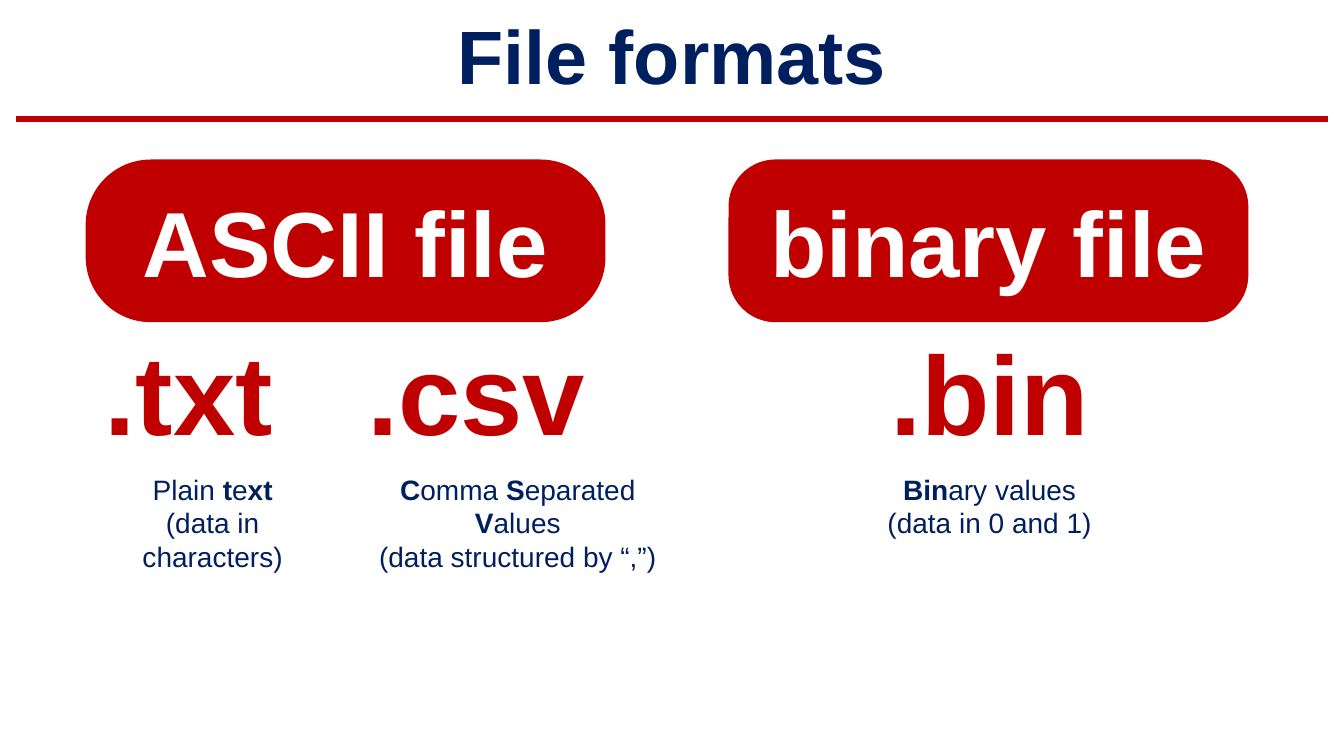
import pptx
import pptx.dml.color
import pptx.enum.shapes
import pptx.enum.text
import pptx.oxml
import pptx.util
from pptx.util import Cm

RED = "C00000"
NAVY = "001F5F"
WHITE = "FFFFFF"
CENTER = pptx.enum.text.PP_ALIGN.CENTER
LEFT = pptx.enum.text.PP_ALIGN.LEFT
TOP = pptx.enum.text.MSO_ANCHOR.TOP
MIDDLE = pptx.enum.text.MSO_ANCHOR.MIDDLE


def color(hex_value):
    return pptx.dml.color.RGBColor.from_string(hex_value)


def prepare_frame(frame, anchor):
    frame.word_wrap = True
    frame.auto_size = pptx.enum.text.MSO_AUTO_SIZE.NONE
    frame.vertical_anchor = anchor
    frame.margin_left = frame.margin_right = 0
    frame.margin_top = frame.margin_bottom = 0


def format_paragraph(paragraph, size, hex_value, bold, align=CENTER):
    paragraph.alignment = align
    paragraph.font.name = "Arial"
    paragraph.font.size = pptx.util.Pt(size)
    paragraph.font.color.rgb = color(hex_value)
    paragraph.font.bold = bold


def add_title(slide, text):
    title = slide.shapes.title
    title.left, title.top, title.width, title.height = Cm(11.5), Cm(0.23), Cm(10.87), Cm(2.36)
    prepare_frame(title.text_frame, TOP)
    title.text_frame.text = text
    format_paragraph(title.text_frame.paragraphs[0], 54, NAVY, True)


def add_rule(slide):
    rule = slide.shapes.add_connector(
        pptx.enum.shapes.MSO_CONNECTOR.STRAIGHT, Cm(0.4), Cm(3), Cm(33.48), Cm(3))
    rule.line.color.rgb = color(RED)
    rule.line.width = pptx.util.Pt(4.5)
    rule._element.spPr.append(pptx.oxml.parse_xml(
        '<a:effectLst xmlns:a="http://schemas.openxmlformats.org/drawingml/2006/main"/>'))


def add_category(slide, text, left, corner):
    category = slide.shapes.add_shape(
        pptx.enum.shapes.MSO_SHAPE.ROUNDED_RECTANGLE, left, Cm(4.02), Cm(13.1), Cm(4.1))
    category.adjustments[0] = corner
    category.shadow.inherit = False
    category.fill.solid()
    category.fill.fore_color.rgb = color(RED)
    category.line.fill.background()
    prepare_frame(category.text_frame, MIDDLE)
    category.text_frame.text = text
    format_paragraph(category.text_frame.paragraphs[0], 66, WHITE, True)


def add_format(slide, extension, captions, left, width, align=LEFT):
    frame = slide.shapes.add_textbox(left, Cm(8.16), width, Cm(5.46)).text_frame
    prepare_frame(frame, TOP)
    frame.text = extension
    format_paragraph(frame.paragraphs[0], 80, RED, True, align)
    for index, caption in enumerate(captions):
        paragraph = frame.add_paragraph()
        if index == 0:
            paragraph.space_before = pptx.util.Pt(10)
        format_paragraph(paragraph, 20, NAVY, False)
        for position, part in enumerate(caption.split("*")):
            if part:
                run = paragraph.add_run()
                run.text = part
                if position % 2:
                    run.font.bold = True


def main():
    presentation = pptx.Presentation()
    presentation.slide_width = Cm(33.87)
    presentation.slide_height = Cm(19.05)
    slide = presentation.slides.add_slide(presentation.slide_layouts[5])

    add_title(slide, "File formats")
    add_rule(slide)
    add_category(slide, "ASCII file", Cm(2.16), 0.4)
    add_category(slide, "binary file", Cm(18.36), 0.29)
    add_format(slide, ".txt", ["Plain *t*e*xt*", "(data in characters)"], Cm(2.64), Cm(5.44))
    add_format(slide, ".csv", ["*C*omma *S*eparated *V*alues", "(data structured by “,”)"],
               Cm(9.25), Cm(7.6))
    add_format(slide, ".bin", ["*Bin*ary values", "(data in 0 and 1)"],
               Cm(22.24), Cm(5.4), CENTER)

    presentation.save("out.pptx")


if __name__ == "__main__":
    main()
